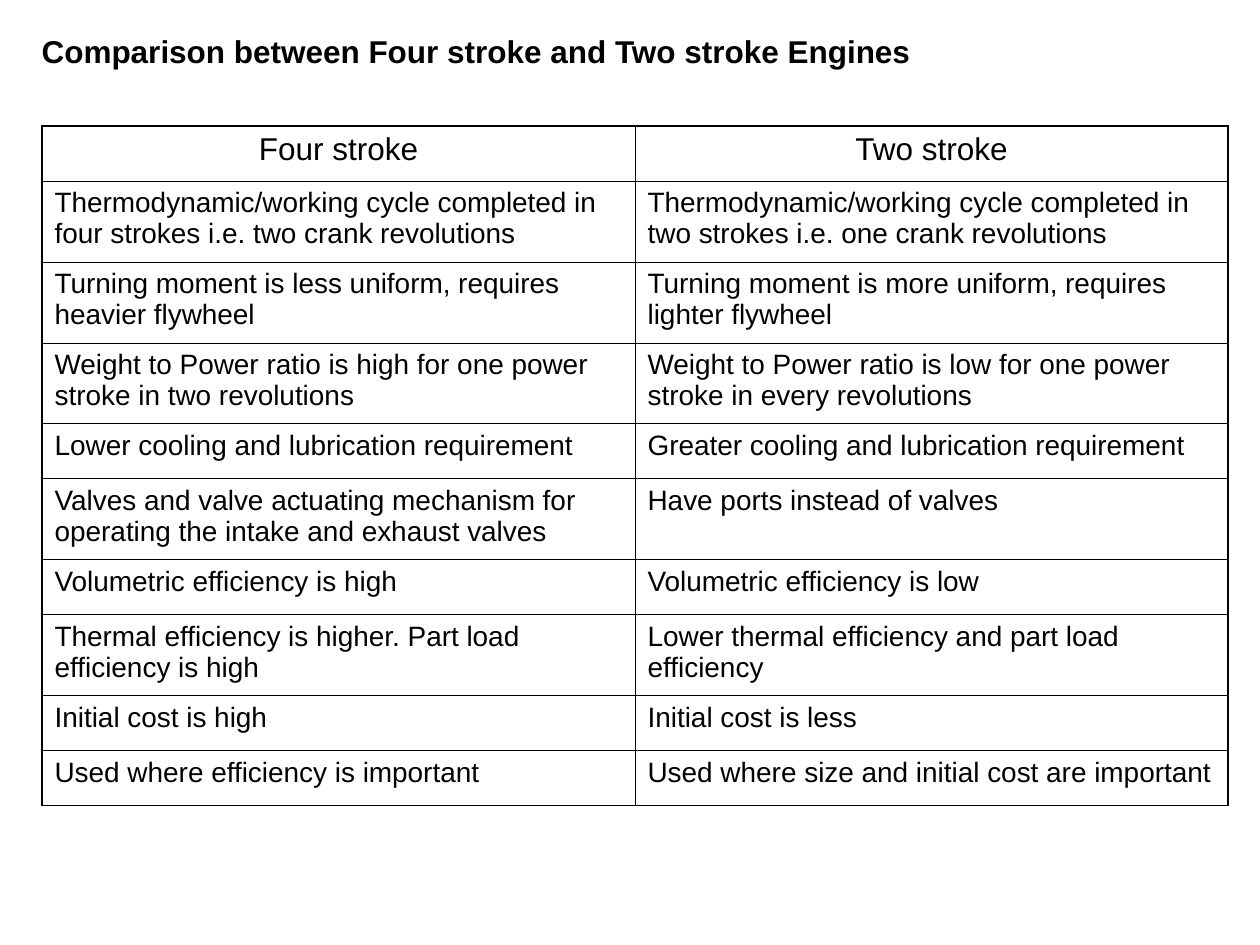
from lxml import etree
from pptx import Presentation, util as u
from pptx.dml.color import RGBColor
from pptx.enum import text
from pptx.oxml import ns

FONT = "Arial"
BLACK = "000000"
THIN, THICK = 0.45, 1.08
SHORT, TALL = 55, 81
ROWS = [
    (SHORT, "Four stroke", "Two stroke"),
    (TALL, "Thermodynamic/working cycle completed in four strokes i.e. two crank revolutions",
     "Thermodynamic/working cycle completed in two strokes i.e. one crank revolutions"),
    (TALL, "Turning moment is less uniform, requires heavier flywheel",
     "Turning moment is more uniform, requires lighter flywheel"),
    (TALL, "Weight to Power ratio is high for one power stroke in two revolutions",
     "Weight to Power ratio is low for one power stroke in every revolutions"),
    (SHORT, "Lower cooling and lubrication requirement",
     "Greater cooling and lubrication requirement"),
    (TALL, "Valves and valve actuating mechanism for operating the intake and exhaust valves",
     "Have ports instead of valves"),
    (SHORT, "Volumetric efficiency is high", "Volumetric efficiency is low"),
    (TALL, "Thermal efficiency is higher. Part load efficiency is high",
     "Lower thermal efficiency and part load efficiency"),
    (SHORT, "Initial cost is high", "Initial cost is less"),
    (SHORT, "Used where efficiency is important",
     "Used where size and initial cost are important"),
]


def px(num):
    """Turn px into EMU at 126 px to the inch."""
    return u.Emu(round(num * 914400 / 126))


def hue(code):
    """Turn a hex string into a colour."""
    return RGBColor.from_string(code)


def write(frame, words, size, align, bold=False):
    """Fill a text frame with one formatted paragraph."""
    frame.text = words
    para = frame.paragraphs[0]
    para.alignment = align
    for run in para.runs:
        font = run.font
        font.name, font.size, font.bold = FONT, u.Pt(size), bold
        font.color.rgb = hue(BLACK)


def add_title(slide, words):
    """Place and format the title placeholder."""
    title = slide.shapes.title
    title.left, title.top, title.width, title.height = map(px, (29, 26, 897, 50))
    frame = title.text_frame
    write(frame, words, 18, text.PP_ALIGN.LEFT, True)
    frame.word_wrap = False
    frame.auto_size = text.MSO_AUTO_SIZE.NONE
    frame.vertical_anchor = text.MSO_ANCHOR.TOP


def rule(cell, sides):
    """Draw the cell borders from a map of side to width in points."""
    props = cell._tc.get_or_add_tcPr()
    for spot, (side, wide) in enumerate(sides.items()):
        line = etree.Element(ns.qn(f"a:ln{side}"), w=str(u.Pt(wide)))
        fill = etree.SubElement(line, ns.qn("a:solidFill"))
        etree.SubElement(fill, ns.qn("a:srgbClr"), val=BLACK)
        props.insert(spot, line)


def add_grid(slide, rows):
    """Add the table with a thick frame and thin inner lines."""
    high = sum(row[0] for row in rows)
    grid = slide.shapes.add_table(len(rows), 2, *map(px, (42, 126, 1186, high))).table
    grid.first_row = grid.horz_banding = False
    for col in grid.columns:
        col.width = px(593)
    last = len(rows) - 1
    for i, (tall, *pair) in enumerate(rows):
        grid.rows[i].height = px(tall)
        size, align = (16, text.PP_ALIGN.LEFT) if i else (18, text.PP_ALIGN.CENTER)
        for j, words in enumerate(pair):
            cell = grid.cell(i, j)
            cell.fill.background()
            write(cell.text_frame, words, size, align)
            edges = {"L": j == 0, "R": j == 1, "T": i == 0, "B": i == last}
            rule(cell, {side: THICK if edge else THIN for side, edge in edges.items()})


def main():
    """Build and save the slide."""
    deck = Presentation()
    deck.slide_width, deck.slide_height = px(1260), px(945)
    slide = deck.slides.add_slide(deck.slide_layouts[5])
    add_title(slide, "Comparison between Four stroke and Two stroke Engines")
    add_grid(slide, ROWS)
    deck.save("out.pptx")


if __name__ == "__main__":
    main()
